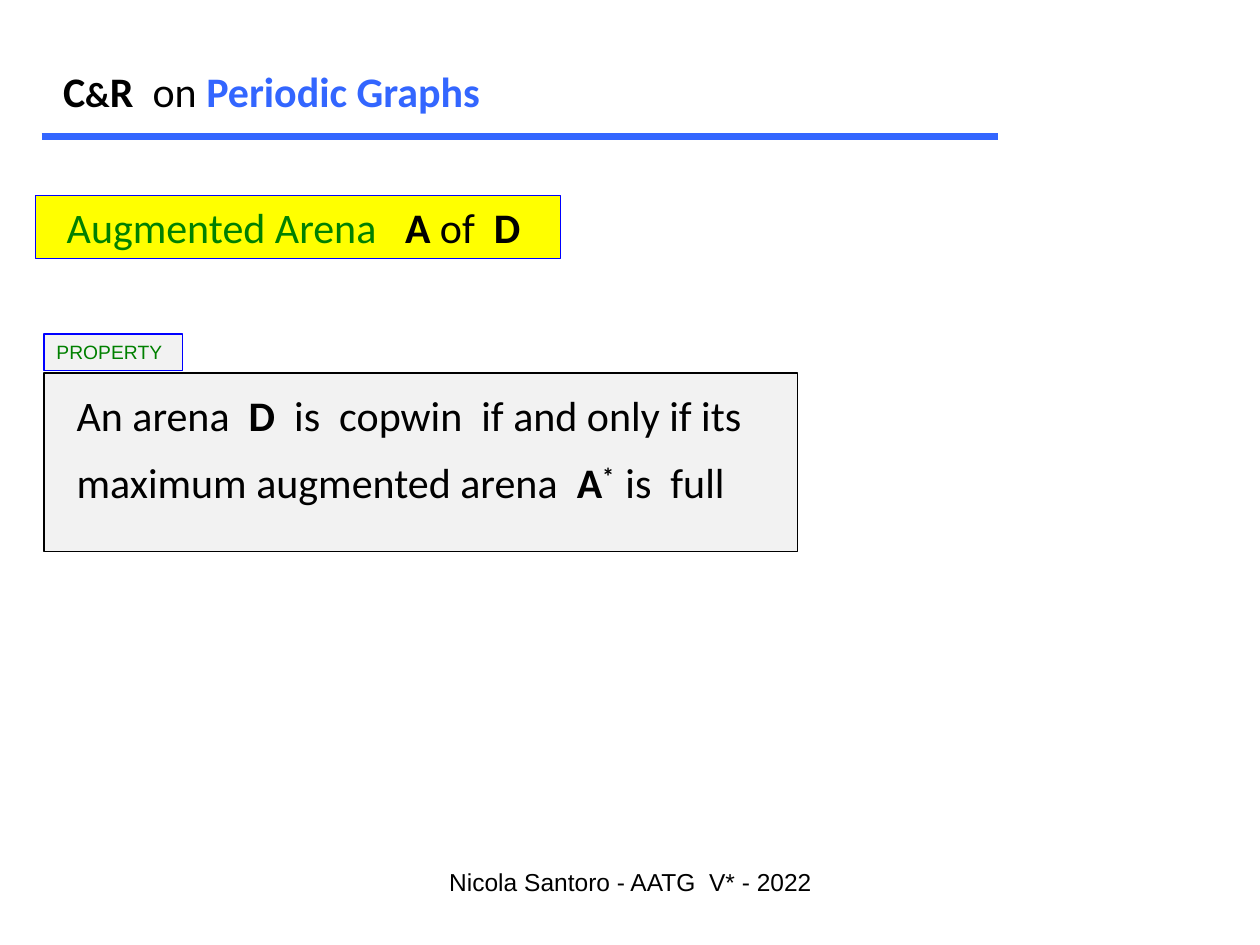
from pptx import Presentation
from pptx.dml.color import RGBColor
from pptx.enum import shapes, text
from pptx.oxml import parse_xml
from pptx.oxml.ns import nsdecls
from pptx.util import Inches, Pt

BLACK = RGBColor(0x00, 0x00, 0x00)
BLUE = RGBColor(0x00, 0x00, 0xFF)
SKY = RGBColor(0x33, 0x66, 0xFF)
GREEN = RGBColor(0x00, 0x80, 0x00)
YELLOW = RGBColor(0xFF, 0xFF, 0x00)
GREY = RGBColor(0xF2, 0xF2, 0xF2)


def add_box(parent, left, top, width, height, fill, line=None):
    box = parent.add_shape(shapes.MSO_SHAPE.RECTANGLE, Inches(left), Inches(top),
                           Inches(width), Inches(height))
    box.shadow.inherit = False
    box.fill.solid()
    box.fill.fore_color.rgb = fill
    if line is None:
        box.line.fill.background()
    else:
        box.line.color.rgb = line
        box.line.width = Pt(0.75)
    box.text_frame.vertical_anchor = text.MSO_ANCHOR.TOP
    return box


def write(paragraph, runs, size=24, font="Calibri", align=text.PP_ALIGN.LEFT):
    """Fill a paragraph with (wording, bold, colour) runs."""
    paragraph.alignment = align
    paragraph.font.size = Pt(size)
    paragraph.font.name = font
    for wording, bold, colour in runs:
        run = paragraph.add_run()
        run.text = wording
        run.font.bold = bold
        run.font.color.rgb = colour
    return paragraph.runs


presentation = Presentation()
presentation.slide_width = Inches(10)
presentation.slide_height = Inches(7.5)
slide = presentation.slides.add_slide(presentation.slide_layouts[5])

# Title
title = slide.shapes.title
title.left, title.top = Inches(0.4), Inches(0.47)
title.width, title.height = Inches(7.83), Inches(0.91)
title.text_frame.vertical_anchor = text.MSO_ANCHOR.TOP
title.text_frame.auto_size = text.MSO_AUTO_SIZE.NONE
title_runs = write(title.text_frame.paragraphs[0], [
    ("C", True, BLACK), ("&", True, BLACK), ("R  ", True, BLACK),
    ("on ", False, BLACK), ("Periodic Graphs", True, SKY)])
title_runs[1].font.size = Pt(20)

# Rule under the title
rule = slide.shapes.add_connector(shapes.MSO_CONNECTOR.STRAIGHT, Inches(0.33),
                                  Inches(1.08), Inches(7.92), Inches(1.08))
rule.line.color.rgb = SKY
rule.line.width = Pt(4)
rule._element.spPr.append(parse_xml(f"<a:effectLst {nsdecls('a')}/>"))

# Topic heading
heading = add_box(slide.shapes, 0.28, 1.55, 4.17, 0.5, YELLOW, BLUE)
heading.text_frame.margin_left = Inches(0.25)
write(heading.text_frame.paragraphs[0], [
    ("Augmented Arena   ", False, GREEN), ("A ", True, BLACK),
    ("of  ", False, BLACK), ("D", True, BLACK)])

# Property statement: frame and text, grouped
statement = slide.shapes.add_group_shape()
add_box(statement.shapes, 0.35, 2.96, 5.98, 1.42, GREY, BLACK)
body = add_box(statement.shapes, 0.51, 3.04, 5.67, 1.04, GREY).text_frame
write(body.paragraphs[0], [
    ("An arena  ", False, BLACK), ("D ", True, BLACK),
    (" is  copwin  if and only if its", False, BLACK)])
second_line = body.add_paragraph()
second_line.space_before = Pt(9.5)
second_runs = write(second_line, [
    ("maximum augmented arena ", False, BLACK), (" A", True, BLACK),
    ("*  ", True, BLACK), ("is  full", False, BLACK)])
second_runs[2].font._element.set("baseline", "30000")

# Property label
label = add_box(slide.shapes, 0.35, 2.65, 1.1, 0.29, GREY, BLUE)
write(label.text_frame.paragraphs[0], [("PROPERTY", False, GREEN)], 11, "Arial")

# Footer
footer = slide.shapes.add_textbox(Inches(3.42), Inches(6.83), Inches(3.17), Inches(0.5))
footer.text_frame.word_wrap = True
write(footer.text_frame.paragraphs[0],
      [("Nicola Santoro - AATG  V* - 2022", False, BLACK)],
      14, "Arial", text.PP_ALIGN.CENTER)

presentation.save("out.pptx")
